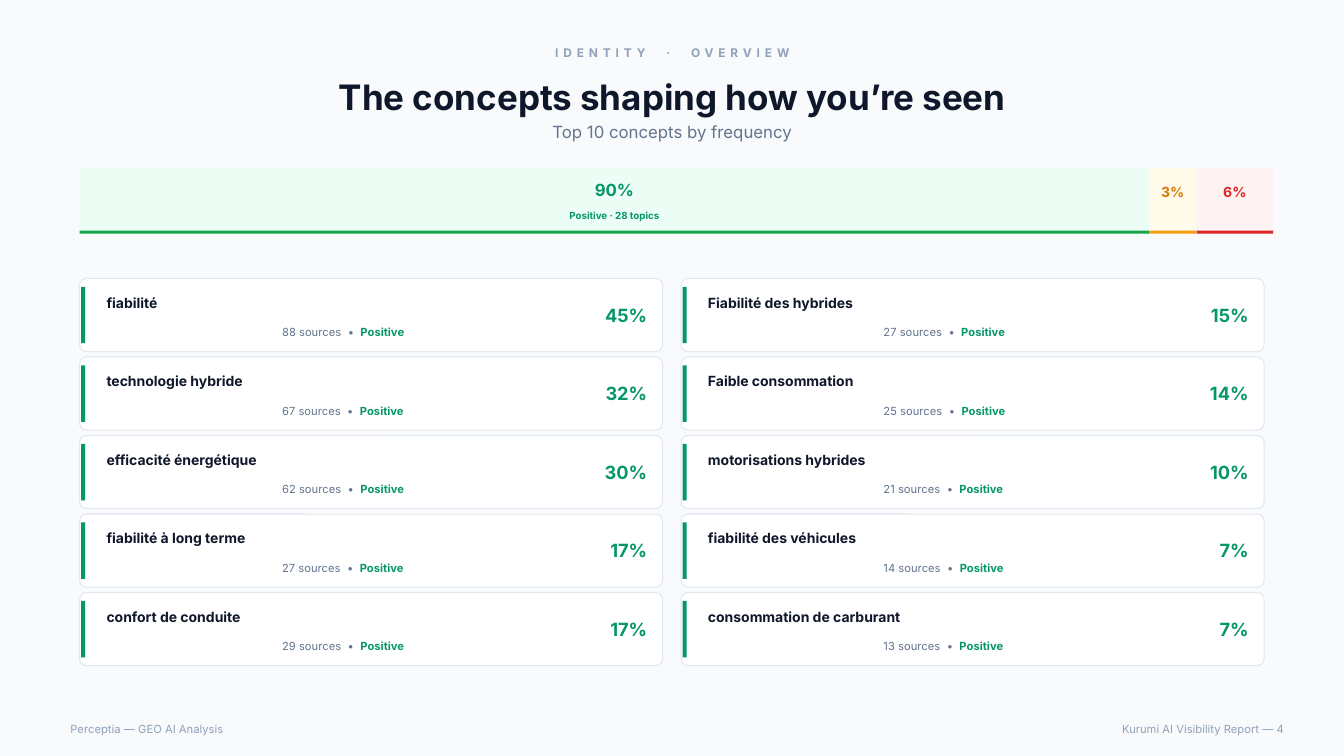
import pptx
import pptx.dml.color
import pptx.enum.shapes
import pptx.enum.text
import pptx.util

SLIDE_SIZE = (960, 540)
FONT = "Inter"
COLORS = {
    "page": "F8FAFC", "card": "FFFFFF", "border": "E2E8F0", "ink": "0F172A",
    "slate": "62748E", "muted": "90A1B9", "green": "059669",
    "mint": "ECFDF5", "mint_rule": "16A34A",
    "amber": "D97706", "cream": "FFFBEB", "cream_rule": "F59E0B",
    "red": "DC2626", "rose": "FEF2F2",
}
EYEBROW = ("IDENTITY", "·", "OVERVIEW")
TITLE = "The concepts shaping how you’re seen"
SUBTITLE = "Top 10 concepts by frequency"
FOOTERS = [
    ("Perceptia — GEO AI Analysis", "left", 43.2, 430),
    ("Kurumi AI Visibility Report — 4", "right", 490.3, 434.2),
]
SEGMENTS = [
    ("90%", "Positive · 28 topics", 763.9, "mint", "mint_rule", "green"),
    ("3%", None, 33.9, "cream", "cream_rule", "amber"),
    ("6%", None, 54.7, "rose", "red", "red"),
]
SENTIMENT = "Positive"
CONCEPT_COLUMNS = [
    [("fiabilité", 88, "45%"), ("technologie hybride", 67, "32%"),
     ("efficacité énergétique", 62, "30%"), ("fiabilité à long terme", 27, "17%"),
     ("confort de conduite", 29, "17%")],
    [("Fiabilité des hybrides", 27, "15%"), ("Faible consommation", 25, "14%"),
     ("motorisations hybrides", 21, "10%"), ("fiabilité des véhicules", 14, "7%"),
     ("consommation de carburant", 13, "7%")],
]
LEFT = 56.9
BAND_TOP, BAND_HEIGHT, RULE_HEIGHT = 120.1, 46.9, 2.2
CARD_TOP, CARD_WIDTH, CARD_HEIGHT, CORNER = 198.9, 416.4, 52.2, 4.9
COLUMN_PITCH, ROW_PITCH = 429.6, 56.1

Pt = pptx.util.Pt
SHAPE = pptx.enum.shapes.MSO_SHAPE
ANCHOR = pptx.enum.text.MSO_ANCHOR
ALIGN = {
    "left": pptx.enum.text.PP_ALIGN.LEFT,
    "center": pptx.enum.text.PP_ALIGN.CENTER,
    "right": pptx.enum.text.PP_ALIGN.RIGHT,
}


def rgb(color):
    return pptx.dml.color.RGBColor.from_string(COLORS[color])


def add_block(slide, box, fill, border=None, corner=0):
    kind = SHAPE.ROUNDED_RECTANGLE if corner else SHAPE.RECTANGLE
    block = slide.shapes.add_shape(kind, *map(Pt, box))
    block.shadow.inherit = False
    block.fill.solid()
    block.fill.fore_color.rgb = rgb(fill)
    if corner:
        block.adjustments[0] = corner / min(box[2:])
    if border:
        block.line.color.rgb = rgb(border)
        block.line.width = Pt(0.75)
    else:
        block.line.fill.background()


def add_text(slide, box, runs, size, align="left", anchor=ANCHOR.MIDDLE):
    frame = slide.shapes.add_textbox(*map(Pt, box)).text_frame
    frame.word_wrap = True
    frame.vertical_anchor = anchor
    paragraph = frame.paragraphs[0]
    paragraph.alignment = ALIGN[align]
    for text, color, bold, spacing in runs:
        run = paragraph.add_run()
        run.text = text
        run.font.name = FONT
        run.font.size = Pt(size)
        run.font.bold = bold
        run.font.color.rgb = rgb(color)
        if spacing:
            run.font._element.set("spc", str(round(spacing * 100)))


def plain(text, color, bold=False):
    return [(text, color, bold, 0)]


def separated(before, mark, after, gap, spacing=0):
    color, bold = before[1:]
    space = (" ", color, bold, spacing + gap)
    return [(*before, spacing), space, (mark, color, bold, spacing), space, (*after, spacing)]


def add_heading(slide):
    first, mark, second = EYEBROW
    eyebrow = separated((first, "muted", True), mark, (second, "muted", True), 5.8, 3.5)
    add_text(slide, (43.2, 28.8, 874, 18), eyebrow, 8.5, "center")
    add_text(slide, (43.2, 49, 874, 40.3), plain(TITLE, "ink", True), 25, "center")
    add_text(slide, (43.2, 85, 874, 18), plain(SUBTITLE, "slate"), 12, "center")


def add_band(slide):
    x = LEFT
    for share, caption, width, fill, rule, color in SEGMENTS:
        add_block(slide, (x, BAND_TOP, width, BAND_HEIGHT), fill)
        rule_top = BAND_TOP + BAND_HEIGHT - RULE_HEIGHT
        add_block(slide, (x, rule_top, width, RULE_HEIGHT), rule)
        size, offset, height = (12, 5.1, 20.2) if caption else (10, 8.1, 18)
        add_text(slide, (x, BAND_TOP + offset, width, height),
                 plain(share, color, True), size, "center")
        if caption:
            add_text(slide, (x, BAND_TOP + 26, width, 15.8),
                     plain(caption, color, True), 7, "center")
        x += width


def add_card(slide, x, y, concept, sources, share):
    add_block(slide, (x, y, CARD_WIDTH, CARD_HEIGHT), "card", "border", CORNER)
    add_block(slide, (x + 1.1, y + 6, 2.9, 40.3), "green")
    add_text(slide, (x + 12.1, y + 7.8, 326, 19.4),
             plain(concept, "ink", True), 10, anchor=ANCHOR.TOP)
    detail = separated((f"{sources} sources", "slate", False), "•",
                       (SENTIMENT, "green", True), 2.25)
    add_text(slide, (x + 137.5, y + 29.9, 201, 15.8), detail, 8, anchor=ANCHOR.TOP)
    add_text(slide, (x + 360.4, y, 52, CARD_HEIGHT),
             plain(share, "green", True), 13, "right")


def main():
    presentation = pptx.Presentation()
    presentation.slide_width, presentation.slide_height = map(Pt, SLIDE_SIZE)
    slide = presentation.slides.add_slide(presentation.slide_layouts[6])
    add_block(slide, (0, 0, *SLIDE_SIZE), "page")
    add_heading(slide)
    for text, align, x, width in FOOTERS:
        add_text(slide, (x, 512.6, width, 15.8), plain(text, "muted"), 8, align)
    add_band(slide)
    for column, concepts in enumerate(CONCEPT_COLUMNS):
        for row, concept in enumerate(concepts):
            add_card(slide, LEFT + column * COLUMN_PITCH, CARD_TOP + row * ROW_PITCH, *concept)
    presentation.save("out.pptx")


if __name__ == "__main__":
    main()
